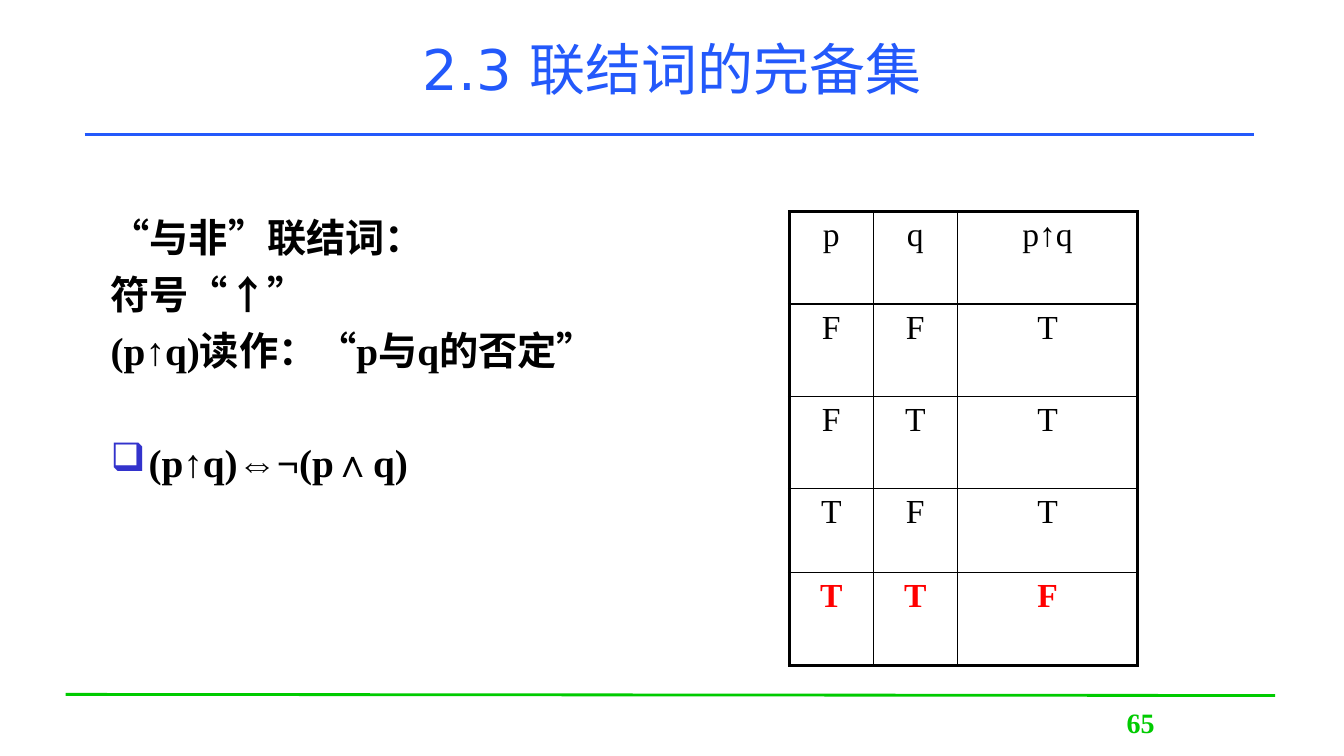
from lxml import etree
from pptx import Presentation
from pptx.dml.color import RGBColor
from pptx.enum.shapes import MSO_CONNECTOR
from pptx.enum.text import MSO_ANCHOR, PP_ALIGN
from pptx.oxml.ns import qn
from pptx.util import Pt

STRAIGHT = MSO_CONNECTOR.STRAIGHT
CENTER, LEFT = PP_ALIGN.CENTER, PP_ALIGN.LEFT
TOP, MIDDLE = MSO_ANCHOR.TOP, MSO_ANCHOR.MIDDLE

COLORS = {
    "blue": "2359FB",
    "green": "00CB00",
    "black": "000000",
    "red": "FF0000",
    "bullet": "3333CC",
}
SERIF = "Times New Roman"
SANS = "DejaVu Sans"
THIN, THICK = 1, 2.25
HANGING = 27

TRUTH_TABLE = [
    ("p", "q", "p↑q"),
    ("F", "F", "T"),
    ("F", "T", "T"),
    ("T", "F", "T"),
    ("T", "T", "F"),
]
COLUMN_WIDTHS = [60, 60, 129]
ROW_HEIGHTS = [66, 66, 66, 60, 66]

# Text and the space before it
DEFINITION = [
    ("“与非”联结词：", 0),
    ("符号“↑”", 6.6),
    ("(p↑q)读作：“p与q的否定”", 6.6),
    ("(p↑q)⇔¬(p∧q)", 46.5),
]


class SlideBuilder:
    def __init__(self, slide):
        self.slide = slide

    def format_paragraph(self, paragraph, size, color, font=SERIF, bold=False, align=LEFT):
        paragraph.alignment = align
        for run in paragraph.runs:
            run.font.name = font
            run.font.size = Pt(size)
            run.font.bold = bold
            run.font.color.rgb = RGBColor.from_string(COLORS[color])

    def line(self, start, end, color):
        points = [Pt(value) for value in (*start, *end)]
        connector = self.slide.shapes.add_connector(STRAIGHT, *points)
        connector.line.color.rgb = RGBColor.from_string(COLORS[color])
        connector.line.width = Pt(2)
        etree.SubElement(connector._element.spPr, qn("a:effectLst"))

    def text(self, box, lines, anchor=TOP, **style):
        """Add a text box with one paragraph per line and return its paragraphs."""
        shape = self.slide.shapes.add_textbox(*[Pt(value) for value in box])
        frame = shape.text_frame
        frame.word_wrap = True
        frame.vertical_anchor = anchor
        frame.text = "\n".join(lines)
        for paragraph in frame.paragraphs:
            self.format_paragraph(paragraph, **style)
        return frame.paragraphs

    def hang(self, paragraph, bullet=None):
        """Give a paragraph a hanging indent and, if wanted, a bullet."""
        properties = paragraph._p.get_or_add_pPr()
        properties.set("marL", str(Pt(HANGING)))
        properties.set("indent", str(Pt(-HANGING)))
        if bullet:
            color = etree.SubElement(properties, qn("a:buClr"))
            etree.SubElement(color, qn("a:srgbClr"), val=COLORS["bullet"])
            etree.SubElement(properties, qn("a:buChar"), char=bullet)

    def cell_borders(self, cell, widths):
        properties = cell._tc.get_or_add_tcPr()
        for index, (side, width) in enumerate(widths.items()):
            border = etree.Element(qn(f"a:{side}"), w=str(Pt(width)))
            fill = etree.SubElement(border, qn("a:solidFill"))
            etree.SubElement(fill, qn("a:srgbClr"), val=COLORS["black"])
            properties.insert(index, border)

    def table(self, left, top, rows, column_widths, row_heights):
        """Add a table with a thick frame, thin inner lines and a red last row."""
        last_row, last_column = len(rows) - 1, len(column_widths) - 1
        table = self.slide.shapes.add_table(
            len(rows), len(column_widths), Pt(left), Pt(top),
            Pt(sum(column_widths)), Pt(sum(row_heights))).table
        table.first_row = table.horz_banding = False
        for column, width in zip(table.columns, column_widths):
            column.width = Pt(width)
        for r, (values, height) in enumerate(zip(rows, row_heights)):
            table.rows[r].height = Pt(height)
            marked = r == last_row
            for c, value in enumerate(values):
                cell = table.cell(r, c)
                cell.fill.background()
                cell.text_frame.text = value
                self.format_paragraph(cell.text_frame.paragraphs[0], 24,
                                      "red" if marked else "black",
                                      bold=marked, align=CENTER)
                self.cell_borders(cell, {
                    "lnL": THICK if c == 0 else THIN,
                    "lnR": THICK if c == last_column else THIN,
                    "lnT": THICK if r == 0 else THIN,
                    "lnB": THICK if marked else THIN,
                })


def main():
    presentation = Presentation()
    presentation.slide_width = Pt(960)
    presentation.slide_height = Pt(540)
    builder = SlideBuilder(presentation.slides.add_slide(presentation.slide_layouts[6]))

    builder.line((46.8, 496), (910.8, 496.8), "green")
    builder.line((60.5, 95.8), (895.7, 95.8), "blue")
    builder.text((738.7, 500.4, 152, 36), ["65"],
                 size=20, color="green", bold=True, align=CENTER)
    builder.text((72, 3.6, 816, 90), ["2.3 联结词的完备集"], anchor=MIDDLE,
                 size=40, color="blue", font=SANS, align=CENTER)

    paragraphs = builder.text((72, 149, 400, 342), [line for line, _ in DEFINITION],
                              size=28, color="black", bold=True)
    for paragraph, (_, space) in zip(paragraphs, DEFINITION):
        paragraph.space_before = Pt(space)
        builder.hang(paragraph, "❑" if paragraph is paragraphs[-1] else None)

    builder.table(563.8, 151.2, TRUTH_TABLE, COLUMN_WIDTHS, ROW_HEIGHTS)
    presentation.save("out.pptx")


if __name__ == "__main__":
    main()
